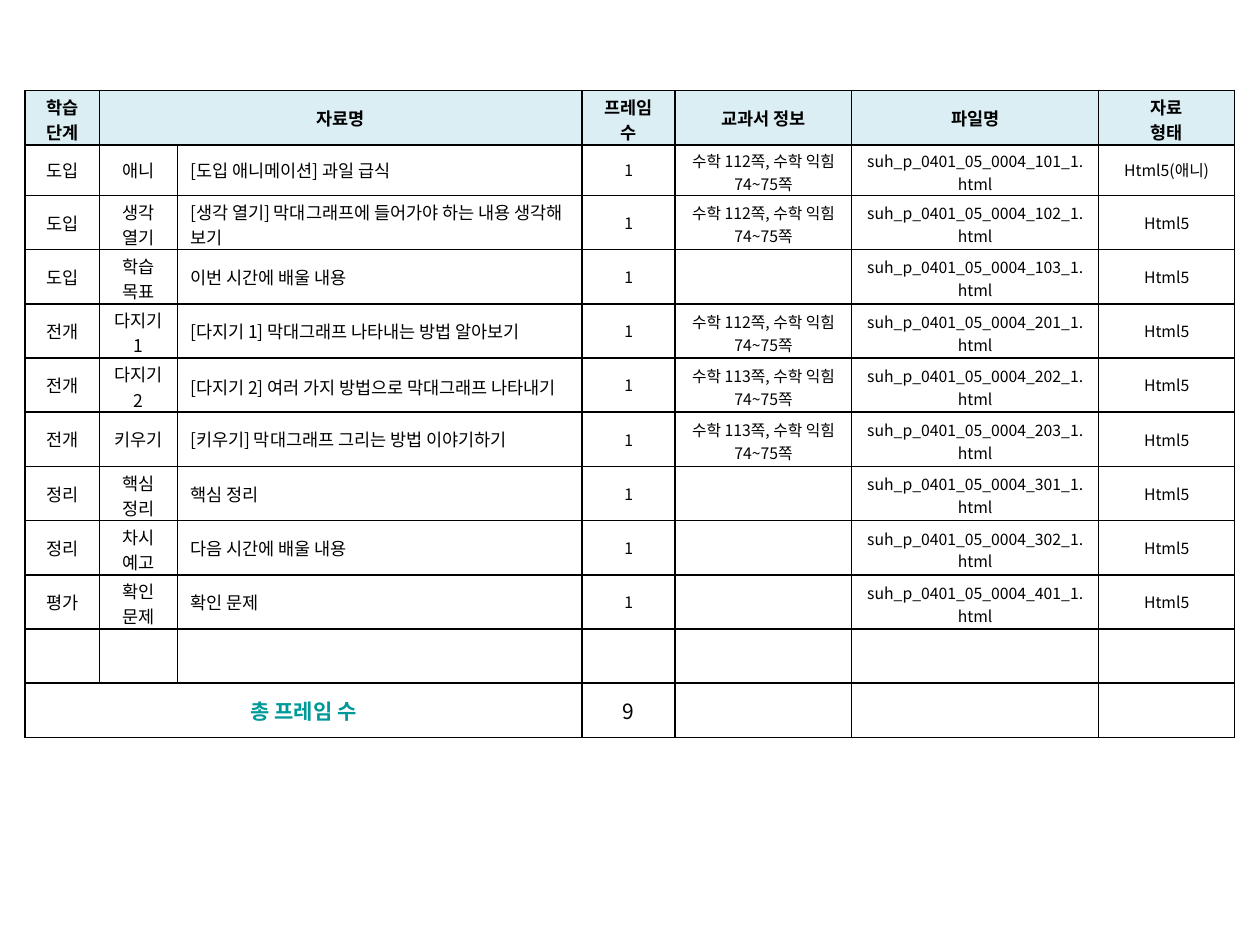
from lxml.etree import SubElement
from pptx import Presentation
from pptx.dml.color import RGBColor
from pptx.enum.text import MSO_ANCHOR, PP_ALIGN
from pptx.oxml.ns import qn
from pptx.util import Inches, Pt

FONT = "Noto Sans CJK KR"
COLS = [0.59, 0.62, 3.21, 0.74, 1.4, 1.96, 1.08]
LINE_CHARS = [4, 4, 27, 4, 12, 12, 12]
HEADER = ["학습 단계", "자료명", "", "프레임 수", "교과서 정보", "파일명", "자료\n형태"]
LESSONS = [
    ("도입", "애니", "[도입 애니메이션] 과일 급식", "112", "101"),
    ("도입", "생각 열기", "[생각 열기] 막대그래프에 들어가야 하는 내용 생각해 보기", "112", "102"),
    ("도입", "학습 목표", "이번 시간에 배울 내용", "", "103"),
    ("전개", "다지기 1", "[다지기 1] 막대그래프 나타내는 방법 알아보기", "112", "201"),
    ("전개", "다지기 2", "[다지기 2] 여러 가지 방법으로 막대그래프 나타내기", "113", "202"),
    ("전개", "키우기", "[키우기] 막대그래프 그리는 방법 이야기하기", "113", "203"),
    ("정리", "핵심 정리", "핵심 정리", "", "301"),
    ("정리", "차시 예고", "다음 시간에 배울 내용", "", "302"),
    ("평가", "확인 문제", "확인 문제", "", "401"),
]


def rgb(value):
    return RGBColor.from_string(value)


def write_cell(cell, text, size, color="000000", bold=False, align=PP_ALIGN.CENTER):
    cell.vertical_anchor = MSO_ANCHOR.MIDDLE
    tf = cell.text_frame
    for i, line in enumerate(text.split("\n")):
        p = tf.add_paragraph() if i else tf.paragraphs[0]
        p.alignment = align
        if not line:
            SubElement(p._p, qn("a:endParaRPr"), sz=str(size * 100))
            continue
        r = p.add_run()
        r.text = line
        r.font.size = Pt(size)
        r.font.bold = bold
        r.font.color.rgb = rgb(color)
        r.font.name = FONT
        SubElement(r._r.get_or_add_rPr(), qn("a:ea"), typeface=FONT)


rows = [HEADER]
for stage, step, title, page, number in LESSONS:
    book = f"수학 {page}쪽, 수학 익힘 74~75쪽" if page else ""
    kind = "Html5(애니)" if step == "애니" else "Html5"
    rows.append([stage, step, title, "1", book, f"suh_p_0401_05_0004_{number}_1.html", kind])
rows.append([""] * len(COLS))
rows.append(["총 프레임 수", "", "", "9", "", "", ""])
total = len(rows) - 1

prs = Presentation()
prs.slide_width = Inches(10)
prs.slide_height = Inches(7.5)
s = prs.slides.add_slide(prs.slide_layouts[6])

table = s.shapes.add_table(len(rows), len(COLS), Inches(0.2), Inches(0.72),
                           Inches(9.6), Inches(5.17)).table
table.first_row = False
table.horz_banding = False
for column, width in zip(table.columns, COLS):
    column.width = Inches(width)
for i, row in enumerate(table.rows):
    row.height = Inches(0.4 if i == 1 else 0.43)

for i, texts in enumerate(rows):
    for j, text in enumerate(texts):
        cell = table.cell(i, j)
        tcPr = cell._tc.get_or_add_tcPr()
        for side in ("lnL", "lnR", "lnT", "lnB"):
            ln = SubElement(tcPr, qn(f"a:{side}"), w=str(Pt(1)))
            SubElement(SubElement(ln, qn("a:solidFill")), qn("a:srgbClr"), val="000000")
        if i < total and ("\n" in text or len(text) > LINE_CHARS[j]):
            cell.margin_top = Inches(0.03)
            cell.margin_bottom = 0
        if i == 0:
            cell.fill.solid()
            cell.fill.fore_color.rgb = rgb("DBEEF4")
            write_cell(cell, text, 10, bold=True)
        elif i == total:
            cell.fill.background()
            write_cell(cell, text, 12, "009999" if j == 0 else "000000", j == 0)
        else:
            cell.fill.background()
            write_cell(cell, text, 10 if j < 3 else 9,
                       align=PP_ALIGN.LEFT if j == 2 else PP_ALIGN.CENTER)

table.cell(0, 1).merge(table.cell(0, 2))
table.cell(total, 0).merge(table.cell(total, 2))

prs.save("out.pptx")
